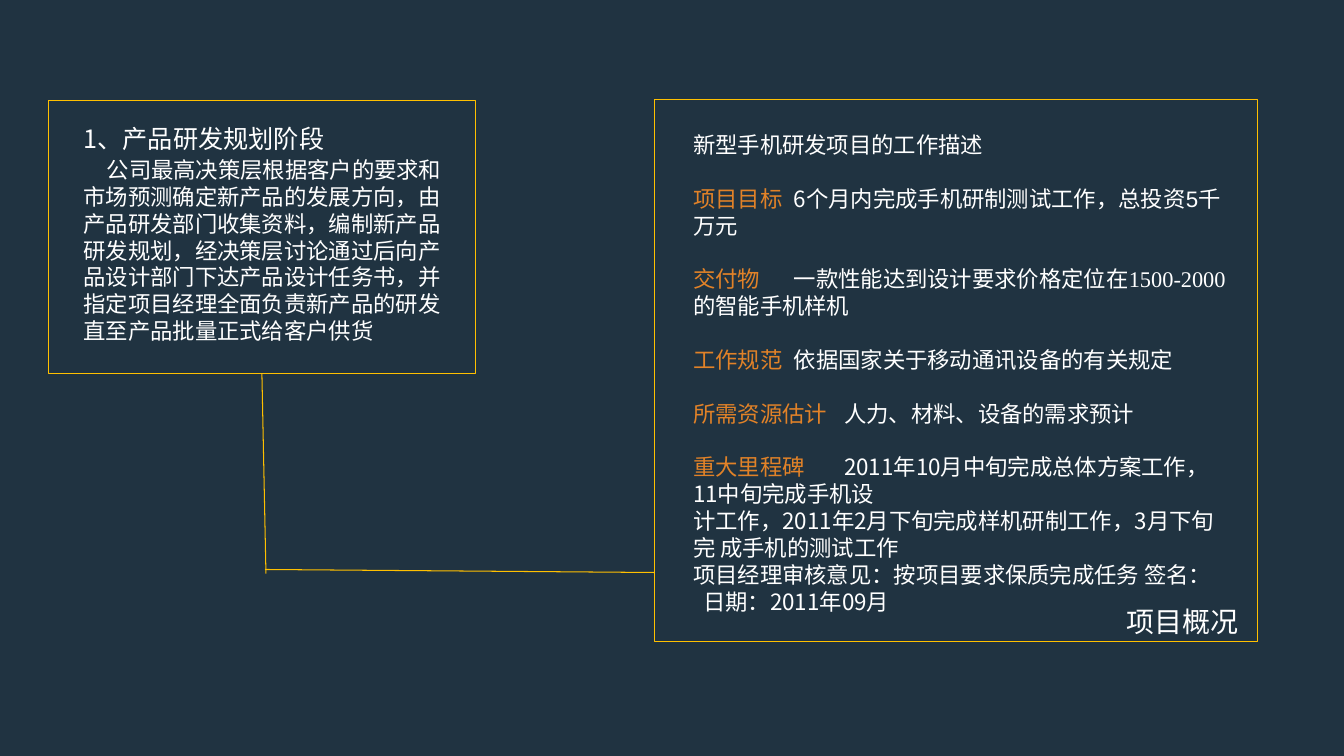
import dataclasses

import pptx
import pptx.dml.color
import pptx.enum.shapes
import pptx.enum.text
import pptx.oxml
import pptx.oxml.ns
import pptx.util


@dataclasses.dataclass(frozen=True)
class Theme:
    background: str = "203341"
    text: str = "FFFFFF"
    accent: str = "E18228"
    outline: str = "FFC000"
    font: str = "Noto Sans CJK SC"
    title_size: float = 20
    heading_size: float = 18
    body_size: float = 16
    leading: float = 1.2
    outline_width: float = 0.75


def rgb(value):
    return pptx.dml.color.RGBColor.from_string(value)


def add_element(parent, tag, **attributes):
    element = pptx.oxml.ns.qn(tag)
    child = parent.makeelement(element, attributes)
    parent.append(child)
    return child


class SlideBuilder:
    def __init__(self, deck, theme):
        self.theme = theme
        self.column = deck.slide_width / 100
        self.row = deck.slide_height / 100
        self.slide = deck.slides.add_slide(deck.slide_layouts[3])
        fill = self.slide.background.fill
        fill.solid()
        fill.fore_color.rgb = rgb(theme.background)

    def place(self, x, y):
        return round(x * self.column), round(y * self.row)

    def placeholder(self, index, x, y, width, height):
        holder = self.slide.placeholders[index]
        holder.left, holder.top = self.place(x, y)
        holder.width, holder.height = self.place(width, height)
        frame = holder.text_frame
        frame.word_wrap = True
        frame.auto_size = pptx.enum.text.MSO_AUTO_SIZE.NONE
        frame.vertical_anchor = pptx.enum.text.MSO_ANCHOR.TOP
        return frame

    def paragraph(self, frame, runs, size, before=0, left=0, indent=0):
        first = frame.paragraphs[0]
        para = frame.add_paragraph() if first.runs else first
        for text, style in runs:
            run = para.add_run()
            run.text = text
            if "font" in style:
                run.font.name = style["font"]
            if "color" in style:
                run.font.color.rgb = rgb(style["color"])
        properties = para._p.get_or_add_pPr()
        properties.set("marL", str(pptx.util.Inches(left)))
        properties.set("indent", str(pptx.util.Inches(indent)))
        add_element(properties, "a:buNone")
        tabs = add_element(properties, "a:tabLst")
        for inch in range(1, 6):
            add_element(tabs, "a:tab", pos=str(pptx.util.Inches(inch)), algn="l")
        para.alignment = pptx.enum.text.PP_ALIGN.LEFT
        para.line_spacing = pptx.util.Pt(size * self.theme.leading)
        para.space_before = pptx.util.Pt(before)
        para.font.size = pptx.util.Pt(size)
        para.font.name = self.theme.font
        para.font.color.rgb = rgb(self.theme.text)
        add_element(para.font._element if hasattr(para.font, "_element") else properties.get_or_add_defRPr(),
                    "a:ea", typeface=self.theme.font)

    def outline(self, line):
        line.color.rgb = rgb(self.theme.outline)
        line.width = pptx.util.Pt(self.theme.outline_width)

    def panel(self, x, y, width, height):
        shape = self.slide.shapes.add_shape(
            pptx.enum.shapes.MSO_SHAPE.RECTANGLE,
            *self.place(x, y), *self.place(width, height))
        shape.shadow.inherit = False
        shape.fill.background()
        self.outline(shape.line)
        return shape

    def link(self, start, end):
        connector = self.slide.shapes.add_connector(
            pptx.enum.shapes.MSO_CONNECTOR.STRAIGHT,
            *self.place(*start), *self.place(*end))
        self.outline(connector.line)
        add_element(connector._element.spPr, "a:effectLst")
        return connector


def main():
    theme = Theme()
    deck = pptx.Presentation()
    deck.slide_width = pptx.util.Inches(13.34)
    deck.slide_height = pptx.util.Inches(7.5)
    page = SlideBuilder(deck, theme)

    overview = page.placeholder(0, 83.06, 79.33, 10.34, 5.87)
    page.paragraph(overview, [("项目概况", {})], theme.title_size)

    planning = page.placeholder(1, 5.47, 15.6, 28.64, 30.67)
    page.paragraph(planning, [("1、产品研发规划阶段", {})], theme.heading_size)
    page.paragraph(planning, [(
        "公司最高决策层根据客户的要求和市场预测确定新产品的发展方向，"
        "由产品研发部门收集资料，编制新产品研发规划，"
        "经决策层讨论通过后向产品设计部门下达产品设计任务书，"
        "并指定项目经理全面负责新产品的研发直至产品批量正式给客户供货", {})],
        theme.body_size, before=2, indent=0.23)

    description = page.placeholder(2, 50.82, 16.67, 41.68, 65.33)
    page.paragraph(description, [("新型手机研发项目的工作描述", {})], theme.body_size)
    work_items = [
        ("项目目标", [("6个月内完成手机研制测试工作，总投资", {}),
                  ("5", {"font": "Arial"}), ("千万元", {})]),
        ("交付物", [("一款性能达到设计要求价格定位在", {}),
                 ("1500-2000的智能手机样机", {"font": "Times New Roman"})]),
        ("工作规范", [("依据国家关于移动通讯设备的有关规定", {})]),
        ("所需资源估计", [("人力、材料、设备的需求预计", {})]),
        ("重大里程碑", [("2011年10月中旬完成总体方案工作，11中旬完成手机设", {})]),
    ]
    for label, details in work_items:
        page.paragraph(description, [(label + "\t", {"color": theme.accent})] + details,
                       theme.body_size, before=theme.body_size * theme.leading)
    closing_lines = [
        ("计工作，2011年2月下旬完成样机研制工作，3月下旬完 成手机的测试工作", 0),
        ("项目经理审核意见：按项目要求保质完成任务 签名：", 0),
        ("日期：2011年09月", 0.1),
    ]
    for text, left in closing_lines:
        page.paragraph(description, [(text, {})], theme.body_size, left=left)

    page.panel(48.73, 13.2, 44.83, 71.6)
    planning_panel = page.panel(3.6, 13.33, 31.78, 36.13)
    descent = page.link((19.49, 49.46), (19.79, 75.87))
    descent.begin_connect(planning_panel, 2)
    page.link((19.72, 75.33), (48.73, 75.73))

    deck.save("out.pptx")


if __name__ == "__main__":
    main()
